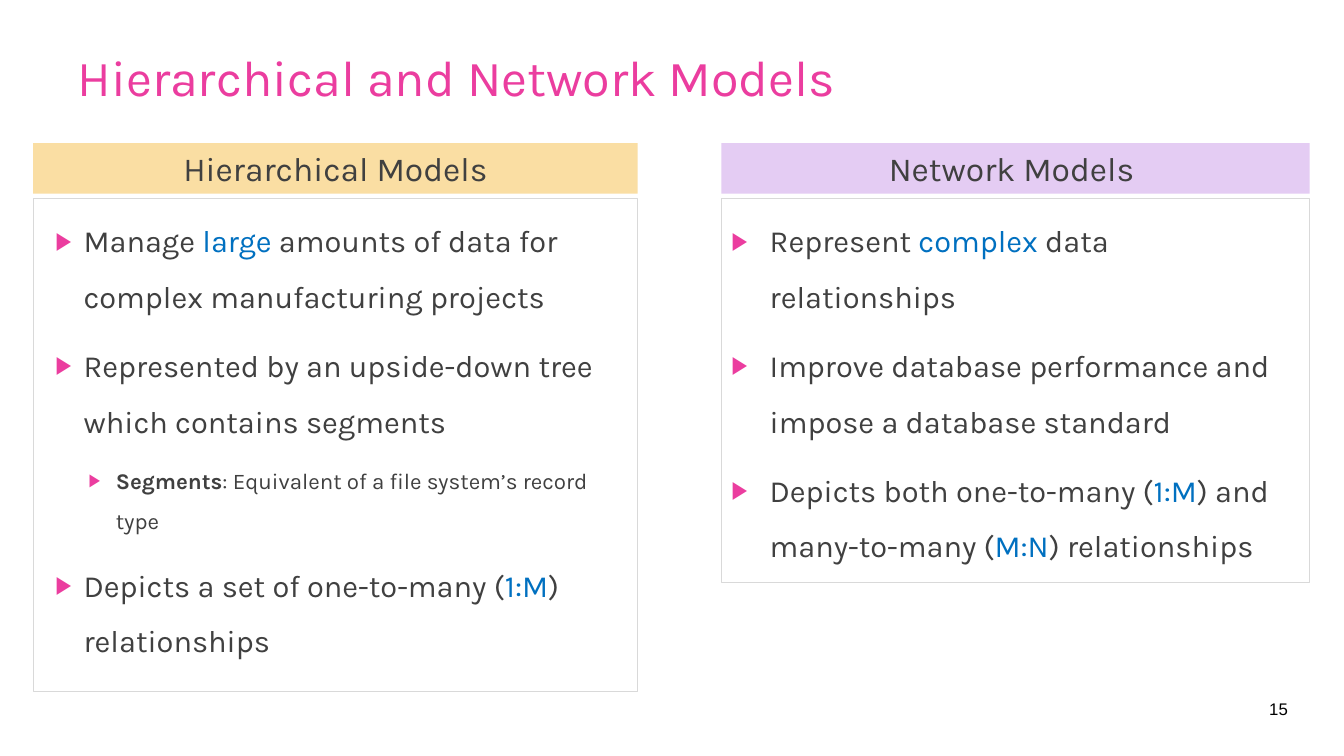
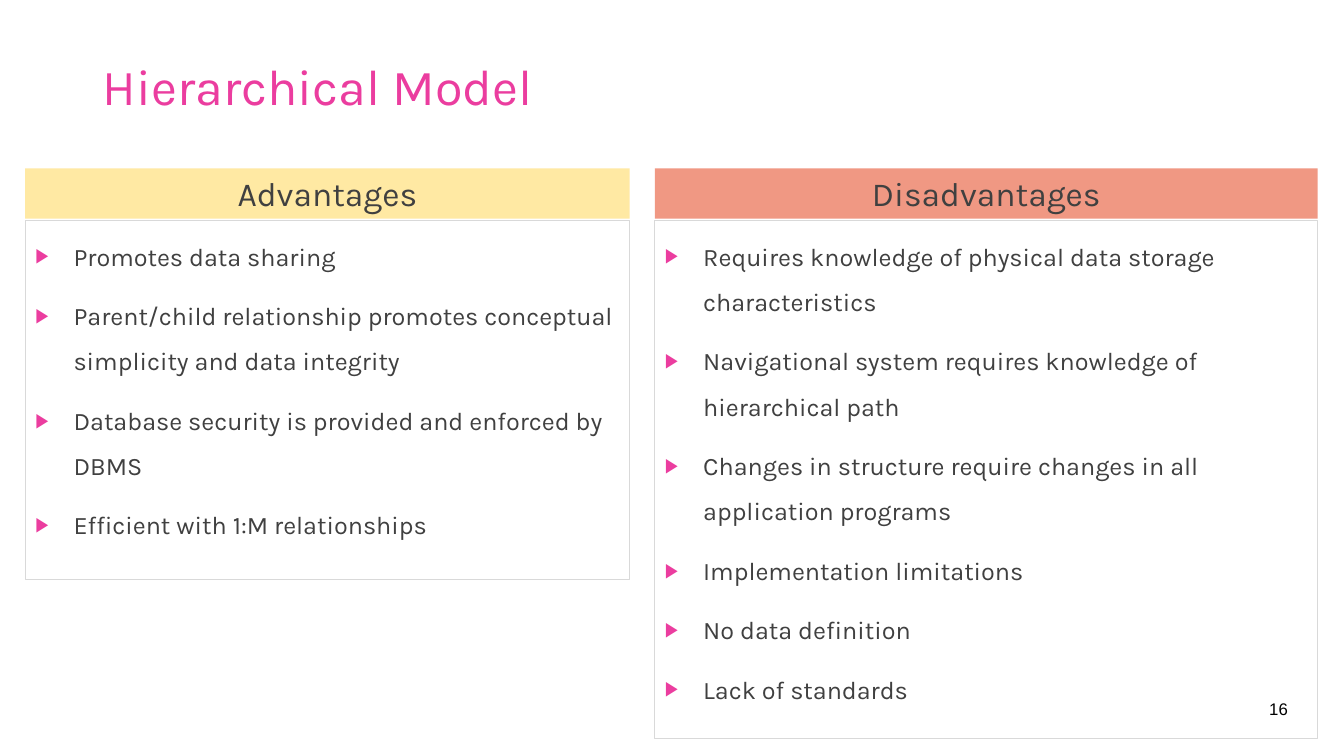
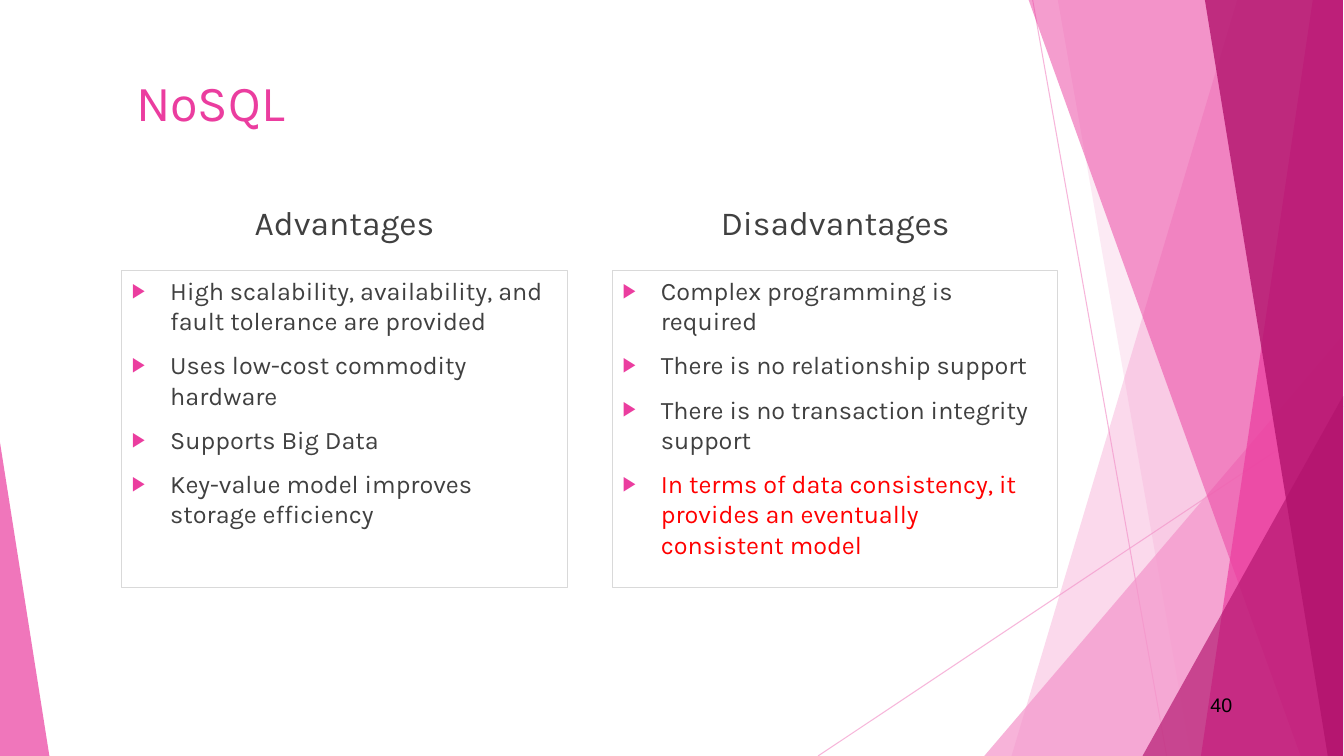
from dataclasses import dataclass

from lxml import etree
from pptx import Presentation
from pptx.dml import color
from pptx.enum import shapes, text
from pptx.oxml import ns
from pptx.util import Inches, Pt


@dataclass(frozen=True)
class Theme:
    font: str = "Karla"
    number_font: str = "Arial"
    pink: str = "EB3D9F"
    light_pink: str = "F496CB"
    magenta: str = "B2136D"
    ink: str = "404040"
    black: str = "000000"
    blue: str = "0070C0"
    red: str = "FF0000"
    border: str = "D9D9D9"
    orange: str = "FADEA3"
    lilac: str = "E4CCF3"
    yellow: str = "FFE9A3"
    coral: str = "F09883"
    title_size: float = 36
    heading_size: float = 24
    sub_item_size: float = 16
    paragraph_gap: float = 10


@dataclass(frozen=True)
class Box:
    left: float
    top: float
    width: float
    height: float


@dataclass(frozen=True)
class ListStyle:
    size: float
    spacing: float
    indents: tuple = ((0.38, -0.38),)


@dataclass(frozen=True)
class SubItem:
    runs: list


@dataclass(frozen=True)
class Column:
    left: float
    width: float
    list_height: float
    heading: str
    items: list
    style: ListStyle
    fill: str = None


THEME = Theme()
SLIDE_WIDTH, SLIDE_HEIGHT = 13.34, 7.5
RIGHT_EDGE = 13.33
HEADING_HEIGHT = 0.5
COMPARISON_LAYOUT = 4


def rgb(value):
    return color.RGBColor.from_string(value)


def place(shape, box):
    shape.left, shape.top = Inches(box.left), Inches(box.top)
    shape.width, shape.height = Inches(box.width), Inches(box.height)


def set_frame(shape, anchor):
    frame = shape.text_frame
    frame.word_wrap = True
    frame.auto_size = text.MSO_AUTO_SIZE.NONE
    frame.vertical_anchor = anchor
    return frame


def add_run(paragraph, words, size, colour=THEME.ink, font=THEME.font, bold=False):
    run = paragraph.add_run()
    run.text = words
    run.font.name = font
    run.font.size = Pt(size)
    run.font.bold = bold
    run.font.color.rgb = rgb(colour)


def set_bullet(paragraph, margin, indent):
    properties = paragraph._p.get_or_add_pPr()
    properties.set("marL", str(Inches(margin)))
    properties.set("indent", str(Inches(indent)))
    bullet_colour = etree.SubElement(properties, ns.qn("a:buClr"))
    etree.SubElement(bullet_colour, ns.qn("a:srgbClr"), val=THEME.pink)
    etree.SubElement(properties, ns.qn("a:buSzPct"), val="80000")
    etree.SubElement(properties, ns.qn("a:buFont"), typeface="Arial")
    etree.SubElement(properties, ns.qn("a:buChar"), char="▶")


def set_opacity(shape, percent):
    colour = shape.element.find(".//" + ns.qn("a:srgbClr"))
    etree.SubElement(colour, ns.qn("a:alpha"), val=str(percent * 1000))


def write_title(shape, box, words):
    place(shape, box)
    paragraph = set_frame(shape, text.MSO_ANCHOR.TOP).paragraphs[0]
    paragraph.alignment = text.PP_ALIGN.LEFT
    add_run(paragraph, words, THEME.title_size, THEME.pink)


def write_heading(shape, box, words, fill):
    place(shape, box)
    if fill:
        shape.fill.solid()
        shape.fill.fore_color.rgb = rgb(fill)
    paragraph = set_frame(shape, text.MSO_ANCHOR.BOTTOM).paragraphs[0]
    paragraph.alignment = text.PP_ALIGN.CENTER
    paragraph.space_before = Pt(THEME.paragraph_gap)
    add_run(paragraph, words, THEME.heading_size)


def write_list(shape, box, items, style):
    place(shape, box)
    shape.line.color.rgb = rgb(THEME.border)
    shape.line.width = Pt(0.75)
    frame = set_frame(shape, text.MSO_ANCHOR.TOP)
    for index, item in enumerate(items):
        paragraph = frame.add_paragraph() if index else frame.paragraphs[0]
        level = int(isinstance(item, SubItem))
        paragraph.level = level
        paragraph.line_spacing = style.spacing
        paragraph.space_before = Pt(THEME.paragraph_gap)
        set_bullet(paragraph, *style.indents[level])
        size = THEME.sub_item_size if level else style.size
        runs = item.runs if level else [item] if isinstance(item, str) else item
        for run in runs:
            words, options = (run, {}) if isinstance(run, str) else run
            add_run(paragraph, words, size, **options)


def add_number(slide, box, number, size, anchor, alignment):
    shape = slide.shapes.add_textbox(0, 0, 0, 0)
    place(shape, box)
    paragraph = set_frame(shape, anchor).paragraphs[0]
    paragraph.alignment = alignment
    add_run(paragraph, number, size, THEME.black, THEME.number_font)


def add_corner_number(slide, number):
    add_number(slide, Box(12.5, 6.83, 1, 0.4), number, 12,
               text.MSO_ANCHOR.MIDDLE, text.PP_ALIGN.LEFT)


def add_facet_line(group, start, end):
    line = group.shapes.add_connector(
        shapes.MSO_CONNECTOR.STRAIGHT, *map(Inches, start + end))
    line.line.color.rgb = rgb(THEME.light_pink)
    line.line.width = Pt(0.75)
    set_opacity(line, 70)
    etree.SubElement(line.element.spPr, ns.qn("a:effectLst"))


def add_pane(group, top_x, bottom_x):
    corners = [(RIGHT_EDGE, 0), (RIGHT_EDGE, SLIDE_HEIGHT), (bottom_x, SLIDE_HEIGHT)]
    builder = group.shapes.build_freeform(Inches(top_x), 0)
    builder.add_line_segments([(Inches(x), Inches(y)) for x, y in corners])
    return builder.convert_to_shape()


def add_triangle(group, left, right, top, apex):
    shape = group.shapes.add_shape(
        shapes.MSO_SHAPE.ISOSCELES_TRIANGLE, Inches(left), Inches(top),
        Inches(right - left), Inches(SLIDE_HEIGHT - top))
    shape.adjustments[0] = apex
    return shape


def add_facets(slide):
    group = slide.shapes.add_group_shape()
    add_facet_line(group, (10.25, 0), (11.58, SLIDE_HEIGHT))
    add_facet_line(group, (RIGHT_EDGE, 4.03), (8.12, SLIDE_HEIGHT))
    facets = [
        (add_pane, (12.28, 10.04), THEME.light_pink, 36),
        (add_pane, (10.5, 11.82), THEME.light_pink, 20),
        (add_triangle, (9.77, RIGHT_EDGE, 3.33, 1), THEME.light_pink, 72),
        (add_pane, (10.21, 12.91), THEME.pink, 50),
        (add_pane, (13.03, 11.92), THEME.pink, 70),
        (add_pane, (11.96, 13.18), THEME.magenta, 80),
        (add_triangle, (11.34, RIGHT_EDGE, 3.93, 1), THEME.magenta, 66),
        (add_triangle, (0, 0.49, 4.39, 0), THEME.pink, 70),
    ]
    for add_facet, outline, colour, opacity in facets:
        shape = add_facet(group, *outline)
        shape.shadow.inherit = False
        shape.fill.solid()
        shape.fill.fore_color.rgb = rgb(colour)
        shape.line.fill.background()
        set_opacity(shape, opacity)
    group.element.getparent().insert(2, group.element)


def add_comparison(presentation, title, title_box, heading_top, list_top, columns):
    slide = presentation.slides.add_slide(presentation.slide_layouts[COMPARISON_LAYOUT])
    title_shape, *column_shapes = slide.placeholders
    write_title(title_shape, title_box, title)
    for column, heading, body in zip(columns, column_shapes[::2], column_shapes[1::2]):
        write_heading(heading, Box(column.left, heading_top, column.width, HEADING_HEIGHT),
                      column.heading, column.fill)
        write_list(body, Box(column.left, list_top, column.width, column.list_height),
                   column.items, column.style)
    return slide


def add_models_slide(presentation):
    blue, bold = {"colour": THEME.blue}, {"bold": True}
    hierarchical = [
        ["Manage ", ("large", blue), " amounts of data for complex manufacturing projects"],
        "Represented by an upside-down tree which contains segments",
        SubItem([("Segments", bold), ": Equivalent of a file system’s record type"]),
        ["Depicts a set of one-to-many (", ("1:M", blue), ") relationships"],
    ]
    network = [
        ["Represent ", ("complex", blue), " data relationships"],
        "Improve database performance and impose a database standard",
        ["Depicts both one-to-many (", ("1:M", blue), ") and many-to-many (",
         ("M:N", blue), ") relationships"],
    ]
    nested = ListStyle(22, 1.5, ((0.4, -0.28), (0.72, -0.27)))
    slide = add_comparison(
        presentation, "Hierarchical and Network Models", Box(0.67, 0.41, 9.17, 0.76),
        1.42, 1.97,
        [Column(0.33, 6, 4.89, "Hierarchical Models", hierarchical, nested, THEME.orange),
         Column(7.16, 5.84, 3.81, "Network Models ", network, ListStyle(22, 1.5),
                THEME.lilac)])
    add_corner_number(slide, "15")


def add_hierarchical_slide(presentation):
    advantages = [
        "Promotes data sharing",
        "Parent/child relationship promotes conceptual simplicity and data integrity",
        "Database security is provided and enforced by DBMS",
        "Efficient with 1:M relationships",
    ]
    disadvantages = [
        "Requires knowledge of physical data storage characteristics",
        "Navigational system requires knowledge of hierarchical path",
        "Changes in structure require changes in all application programs",
        "Implementation limitations",
        "No data definition",
        "Lack of standards",
    ]
    style = ListStyle(18, 1.5)
    slide = add_comparison(
        presentation, "Hierarchical Model", Box(0.92, 0.5, 5.08, 0.83), 1.67, 2.19,
        [Column(0.25, 6, 3.56, "Advantages", advantages, style, THEME.yellow),
         Column(6.5, 6.58, 5.14, "Disadvantages", disadvantages, style, THEME.coral)])
    add_corner_number(slide, "16")


def add_nosql_slide(presentation):
    advantages = [
        "High scalability, availability, and fault tolerance are provided",
        "Uses low-cost commodity hardware",
        "Supports Big Data",
        "Key-value model improves storage efficiency",
    ]
    disadvantages = [
        "Complex programming is required",
        "There is no relationship support",
        "There is no transaction integrity support",
        [("In terms of data consistency, it provides an eventually consistent model",
          {"colour": THEME.red})],
    ]
    style = ListStyle(18, 1.0)
    slide = add_comparison(
        presentation, "NoSQL", Box(1.25, 0.66, 9.17, 0.84), 1.95, 2.68,
        [Column(1.21, 4.42, 3.15, "Advantages", advantages, style),
         Column(6.08, 4.42, 3.15, "Disadvantages", disadvantages, style)])
    add_facets(slide)
    add_number(slide, Box(11, 6.83, 1.33, 0.33), "40", 14,
               text.MSO_ANCHOR.TOP, text.PP_ALIGN.RIGHT)


def main():
    presentation = Presentation()
    presentation.slide_width = Inches(SLIDE_WIDTH)
    presentation.slide_height = Inches(SLIDE_HEIGHT)
    add_models_slide(presentation)
    add_hierarchical_slide(presentation)
    add_nosql_slide(presentation)
    presentation.save("out.pptx")


if __name__ == "__main__":
    main()
